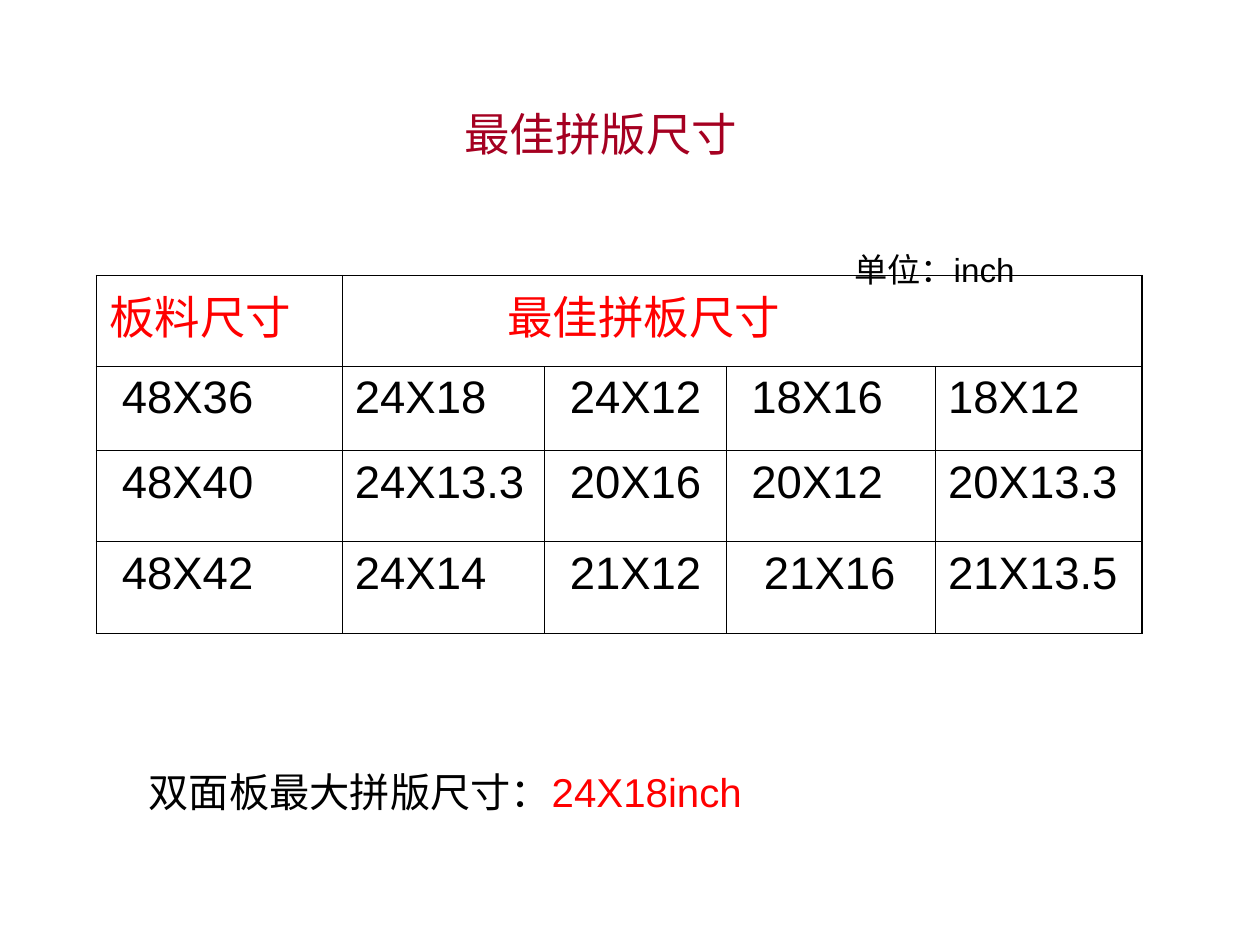
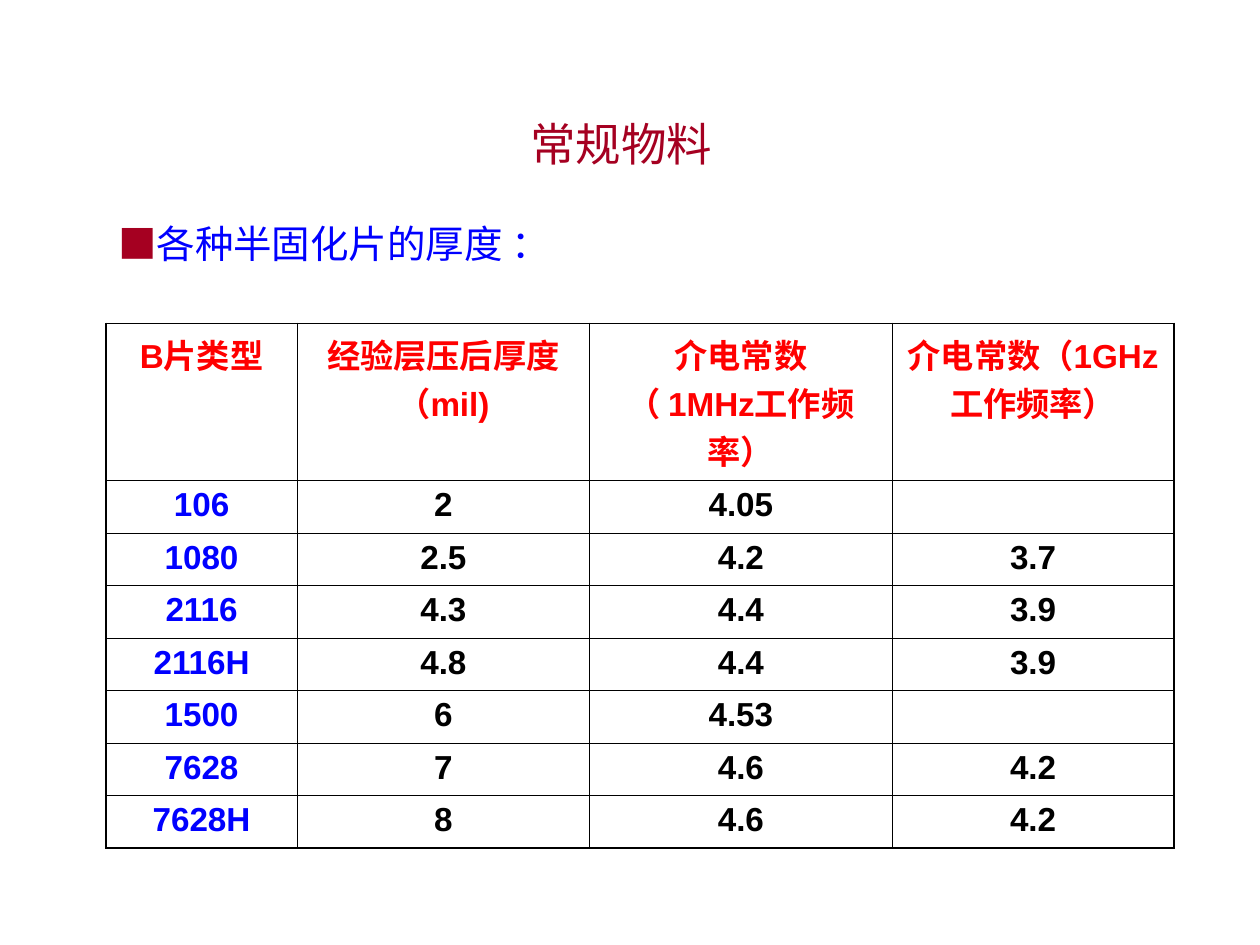
"""Build two slides on board panel sizes and prepreg materials."""
from dataclasses import dataclass, field

from lxml import etree
from pptx import Presentation
from pptx.dml.color import RGBColor
from pptx.enum import text
from pptx.oxml import ns
from pptx.util import Pt

CRIMSON = RGBColor(0xA5, 0x00, 0x21)
RED = RGBColor(0xFF, 0x00, 0x00)
BLUE = RGBColor(0x00, 0x00, 0xFF)
BLACK = RGBColor(0x00, 0x00, 0x00)
LATIN_FONT = "Arial"
CJK_FONT = "Noto Sans CJK JP"
OUTER_LINE, INNER_LINE = Pt(1.08), Pt(0.45)
SIDE_MARGIN = 7.2
TITLE_ONLY = 5


@dataclass
class Box:
    """Position and size in points."""
    left: float
    top: float
    width: float
    height: float

    def lengths(self) -> list:
        """Return the four lengths as Pt values."""
        return [Pt(value) for value in (self.left, self.top, self.width, self.height)]


@dataclass
class Note:
    """A one-line text made of coloured spans."""
    box: Box
    size: float
    spans: list[tuple[str, RGBColor]]


@dataclass
class Grid:
    """A bordered table with a red heading row."""
    left: float
    top: float
    widths: list[float]
    heights: list[float]
    rows: list[list[str]]
    size: float
    space_before: float
    align: text.PP_ALIGN = text.PP_ALIGN.LEFT
    bold: bool = False
    key_color: RGBColor = BLACK
    heading_span: tuple[int, int] | None = None
    indents: dict[tuple[int, int], float] = field(default_factory=dict)


def style_para(para, size: float, color: RGBColor | None = None,
               latin: str = LATIN_FONT, bold: bool = False) -> None:
    """Set the shared font of a paragraph, with its East Asian face."""
    font = para.font
    font.name, font.size, font.bold = latin, Pt(size), bold
    if color is not None:
        font.color.rgb = color
    defaults = para._p.pPr.find(ns.qn("a:defRPr"))
    face = etree.Element(ns.qn("a:ea"), typeface=CJK_FONT)
    defaults.find(ns.qn("a:latin")).addnext(face)


def add_page(deck, heading: str, left: float, top: float):
    """Add a title-only page with its heading in place."""
    page = deck.slides.add_slide(deck.slide_layouts[TITLE_ONLY])
    title = page.shapes.title
    title.left, title.top, title.width, title.height = Box(left, top, 612, 90).lengths()
    frame = title.text_frame
    frame.text = heading
    frame.auto_size = text.MSO_AUTO_SIZE.NONE
    frame.vertical_anchor = text.MSO_ANCHOR.MIDDLE
    para = frame.paragraphs[0]
    para.alignment = text.PP_ALIGN.CENTER
    style_para(para, 26, CRIMSON, CJK_FONT)
    return page


def add_note(page, note: Note) -> None:
    """Draw a note as a text box."""
    frame = page.shapes.add_textbox(*note.box.lengths()).text_frame
    frame.word_wrap = True
    para = frame.paragraphs[0]
    style_para(para, note.size)
    for words, color in note.spans:
        span = para.add_run()
        span.text = words
        span.font.color.rgb = color


def add_borders(cell, outer: dict[str, bool]) -> None:
    """Give each side of a cell an outer or inner black line."""
    properties = cell._tc.get_or_add_tcPr()
    for index, (side, is_outer) in enumerate(outer.items()):
        width = OUTER_LINE if is_outer else INNER_LINE
        line = etree.Element(ns.qn(f"a:ln{side}"), w=str(int(width)))
        fill = etree.SubElement(line, ns.qn("a:solidFill"))
        etree.SubElement(fill, ns.qn("a:srgbClr"), val=str(BLACK))
        properties.insert(index, line)


def add_grid(page, grid: Grid) -> None:
    """Draw a grid as a table."""
    row_count, column_count = len(grid.heights), len(grid.widths)
    box = Box(grid.left, grid.top, sum(grid.widths), sum(grid.heights))
    table = page.shapes.add_table(row_count, column_count, *box.lengths()).table
    table.first_row = table.horz_banding = False
    for column, width in zip(table.columns, grid.widths):
        column.width = Pt(width)
    for row, height in zip(table.rows, grid.heights):
        row.height = Pt(height)
    if grid.heading_span:
        first, last = grid.heading_span
        table.cell(0, first).merge(table.cell(0, last))
    for r, values in enumerate(grid.rows):
        for c, value in enumerate(values):
            cell = table.cell(r, c)
            cell.fill.background()
            last_column = c + (cell.span_width if cell.is_merge_origin else 1)
            add_borders(cell, {"L": c == 0, "R": last_column == column_count,
                               "T": r == 0, "B": r == row_count - 1})
            if not value:
                continue
            cell.text = value
            cell.margin_left = Pt(SIDE_MARGIN + grid.indents.get((r, c), 0))
            para = cell.text_frame.paragraphs[0]
            para.alignment = grid.align
            para.space_before = Pt(grid.space_before)
            color = RED if r == 0 else grid.key_color if c == 0 else BLACK
            style_para(para, grid.size, color, bold=grid.bold)


PANEL_GRID = Grid(
    left=55.2, top=157.5,
    widths=[140.4, 115.6, 103.8, 119.6, 118],
    heights=[51.9, 48.2, 52, 52.4],
    rows=[
        ["板料尺寸", "最佳拼板尺寸", "", "", ""],
        ["48X36", "24X18", "24X12", "18X16", "18X12"],
        ["48X40", "24X13.3", "20X16", "20X12", "20X13.3"],
        ["48X42", "24X14", "21X12", "21X16", "21X13.5"],
    ],
    size=26, space_before=6.5, heading_span=(1, 4),
    indents={(r, c): 7.2 for r in (1, 2, 3) for c in (0, 2, 3)}
    | {(0, 1): 87, (3, 3): 14.4},
)
PANEL_NOTES = [
    Note(Box(77.8, 435, 564.5, 34.6), 23,
         [("双面板最大拼版尺寸：", BLACK), ("24X18inch", RED)]),
    Note(Box(481, 139, 149.8, 29.5), 19, [("单位：inch", BLACK)]),
]
PREPREG_NOTE = Note(Box(60.5, 122.4, 627.8, 324), 22,
                    [("■", CRIMSON), ("各种半固化片的厚度 ：", BLUE)])
PREPREG_GRID = Grid(
    left=60.5, top=184.8,
    widths=[109.4, 167, 173, 161],
    heights=[89.8] + [29.7] * 7,
    rows=[
        ["B片类型", "经验层压后厚度（mil)", "介电常数\v（ 1MHz工作频率）", "介电常数（1GHz工作频率）"],
        ["106", "2", "4.05", ""],
        ["1080", "2.5", "4.2", "3.7"],
        ["2116", "4.3", "4.4", "3.9"],
        ["2116H", "4.8", "4.4", "3.9"],
        ["1500", "6", "4.53", ""],
        ["7628", "7", "4.6", "4.2"],
        ["7628H", "8", "4.6", "4.2"],
    ],
    size=19, space_before=4.8, align=text.PP_ALIGN.CENTER, bold=True, key_color=BLUE,
)


def main() -> None:
    """Build and save the deck."""
    deck = Presentation()
    deck.slide_width, deck.slide_height = Pt(720), Pt(540)

    panel_page = add_page(deck, "最佳拼版尺寸", 37.4, 31)
    add_grid(panel_page, PANEL_GRID)
    for note in PANEL_NOTES:
        add_note(panel_page, note)

    prepreg_page = add_page(deck, "常规物料", 49, 36.7)
    add_note(prepreg_page, PREPREG_NOTE)
    add_grid(prepreg_page, PREPREG_GRID)

    deck.save("out.pptx")


if __name__ == "__main__":
    main()
